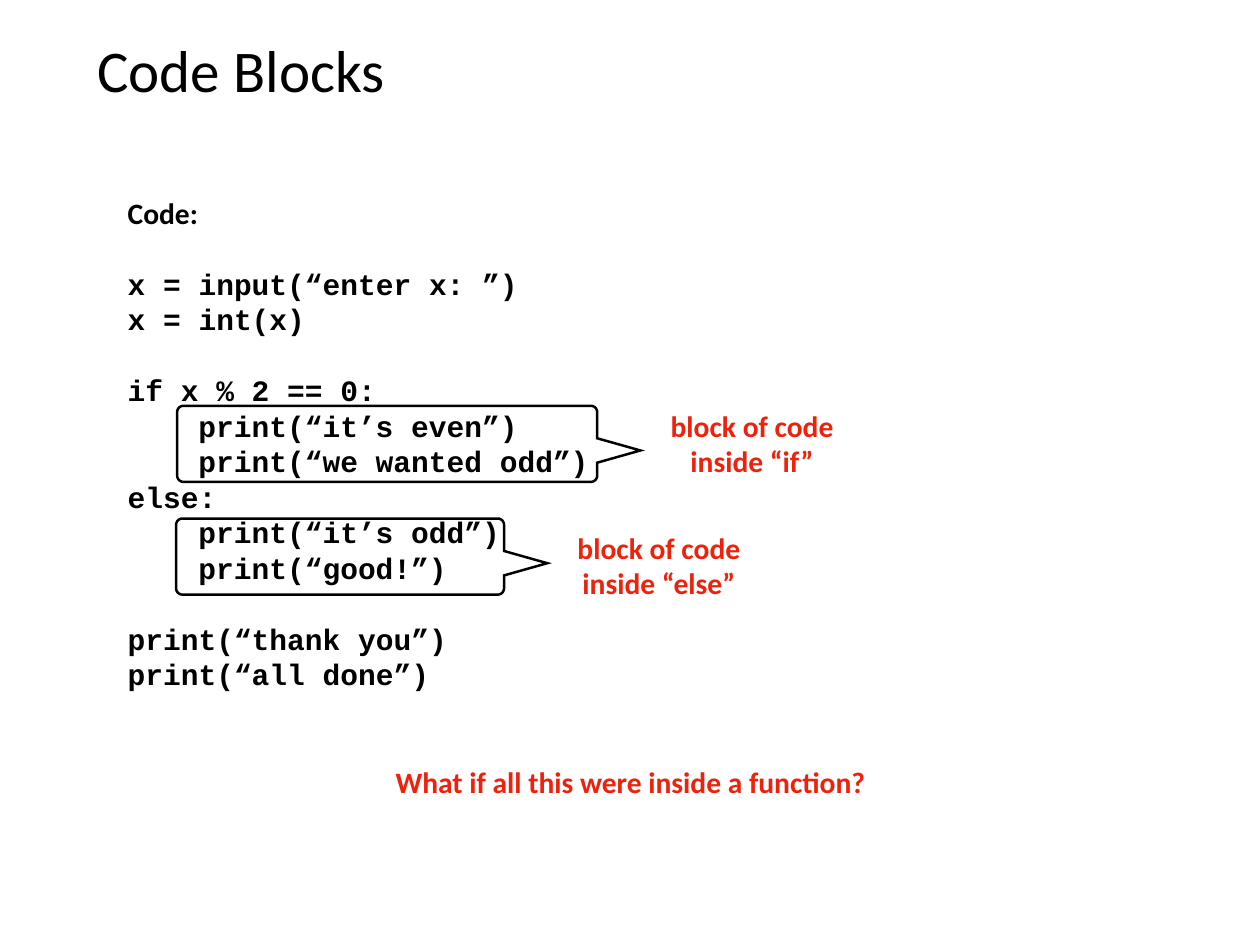
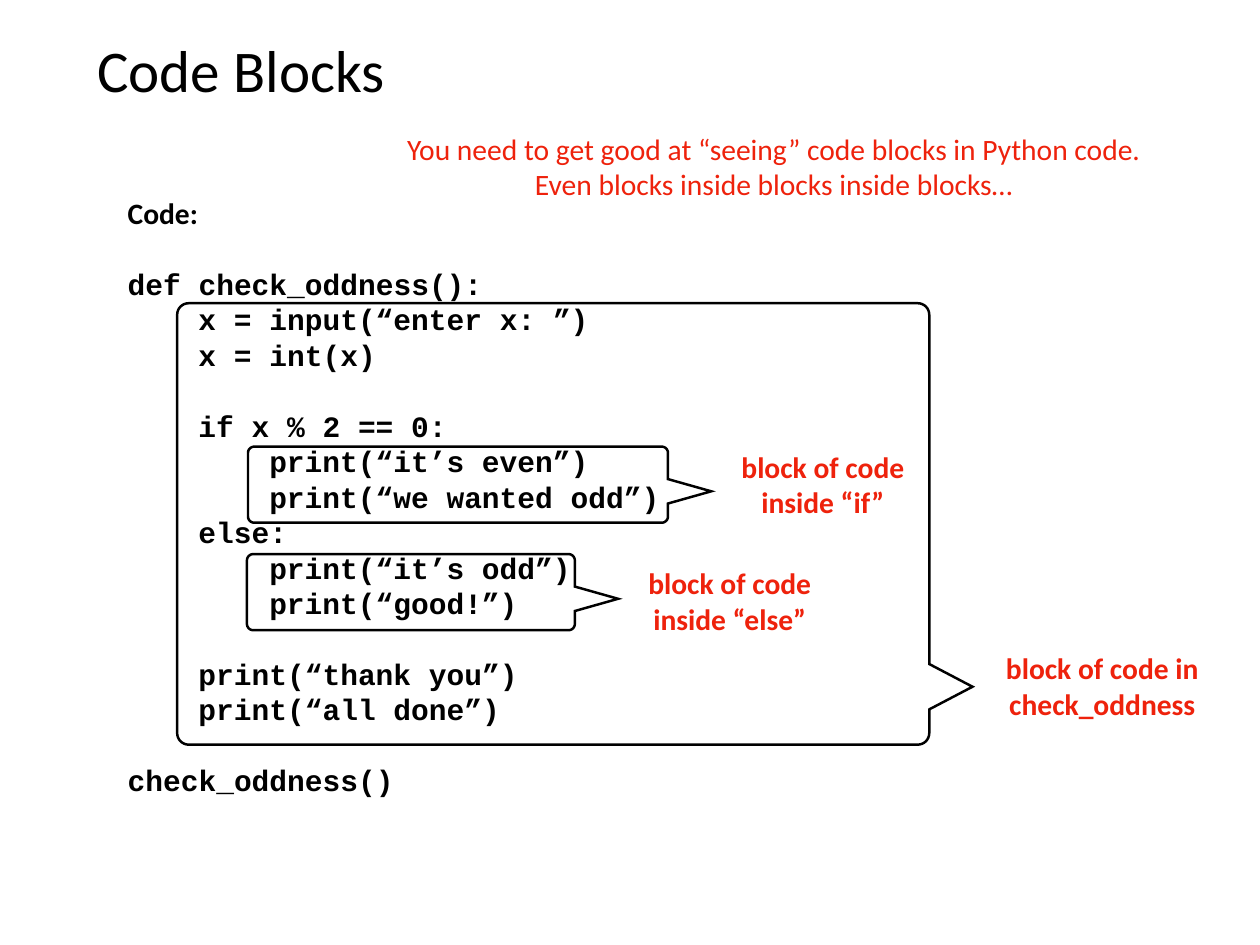
import math
from dataclasses import dataclass, replace

from lxml import etree
from pptx import Presentation
from pptx import slide as sl
from pptx import util as u
from pptx.dml import color
from pptx.enum import text
from pptx.oxml import ns


# Shared look
@dataclass(frozen=True)
class Theme:
    ink: color.RGBColor = color.RGBColor(0x00, 0x00, 0x00)
    accent: color.RGBColor = color.RGBColor(0xEE, 0x22, 0x0C)
    font: str = "Calibri"
    code_font: str = "Courier New"
    title_size: u.Pt = u.Pt(48)
    body_size: u.Pt = u.Pt(24)
    line_height: u.Pt = u.Pt(28.8)
    outline: u.Pt = u.Pt(2)
    inset: u.Cm = u.Cm(0.15)
    code_indent: float = 2.03  # cm, four characters of code


THEME = Theme()


# Repeated elements; lengths in centimetres
@dataclass(frozen=True)
class Box:
    left: float
    top: float
    width: float
    height: float


@dataclass(frozen=True)
class CodeLine:
    text: str
    level: int = 0
    gap_before: bool = False


@dataclass(frozen=True)
class Callout:
    body: Box
    label: str
    label_offset: float
    label_width: float = 5.84
    radius: float = 0.18
    tip: float = 1.28
    tail_half: float = 0.35


TITLE_BOX = Box(2.64, 0.71, 30.84, 2.51)
CODE_BOX = Box(3.51, 5.44, 18, 17.55)
TAIL_LENGTH = 1.24
LABEL_GAP = 0.28
LABEL_HEIGHT = 2.31
CORNER_STEPS = 8

# Code listings
BODY = [
    CodeLine("x = input(“enter x: ”)"),
    CodeLine("x = int(x)"),
    CodeLine("if x % 2 == 0:", gap_before=True),
    CodeLine("print(“it’s even”)", 1),
    CodeLine("print(“we wanted odd”)", 1),
    CodeLine("else:"),
    CodeLine("print(“it’s odd”)", 1),
    CodeLine("print(“good!”)", 1),
    CodeLine("print(“thank you”)", gap_before=True),
    CodeLine("print(“all done”)"),
]
FUNCTION = [
    CodeLine("def check_oddness():"),
    *(replace(line, level=line.level + 1) for line in BODY),
    CodeLine("check_oddness()", gap_before=True),
]

# Callouts around the code blocks
IF_BLOCK = Callout(Box(5.08, 11.63, 12.04, 2.18), "block of code\ninside “if”", -0.08)
ELSE_BLOCK = Callout(Box(5.05, 14.86, 9.4, 2.18), "block of code\ninside “else”", 0.18)
FUNCTION_BLOCK = Callout(
    Box(5.08, 8.69, 21.56, 12.65), "block of code in\ncheck_oddness", 9.8,
    label_width=6.88, radius=0.33, tip=10.99, tail_half=0.65,
)


def moved(callout: Callout, down: float) -> Callout:
    """Shift a callout down and one code level to the right."""
    body = callout.body
    return replace(callout, body=replace(
        body, left=body.left + THEME.code_indent, top=body.top + down))


def add_text(slide: sl.Slide, box: Box, words: str, size: u.Pt, ink: color.RGBColor,
             bold: bool = False, centred: bool = False, middle: bool = True):
    """Add a text box, one paragraph per line of words."""
    shape = slide.shapes.add_textbox(
        u.Cm(box.left), u.Cm(box.top), u.Cm(box.width), u.Cm(box.height))
    frame = shape.text_frame
    frame.text = words
    frame.word_wrap = True
    frame.vertical_anchor = text.MSO_ANCHOR.MIDDLE if middle else text.MSO_ANCHOR.TOP
    frame.margin_left = frame.margin_right = THEME.inset
    frame.margin_top = frame.margin_bottom = THEME.inset
    for paragraph in frame.paragraphs:
        paragraph.alignment = text.PP_ALIGN.CENTER if centred else text.PP_ALIGN.LEFT
        if size == THEME.body_size:
            paragraph.line_spacing = THEME.line_height
        for run in paragraph.runs:
            run.font.name = THEME.font
            run.font.size = size
            run.font.bold = bold
            run.font.color.rgb = ink
    return frame


def add_note(slide: sl.Slide, box: Box, words: str, bold: bool = True) -> None:
    add_text(slide, box, words, THEME.body_size, THEME.accent, bold, centred=True)


def add_code(slide: sl.Slide, lines: list[CodeLine]) -> None:
    words = "\n".join(["Code:", *(line.text for line in lines)])
    frame = add_text(slide, CODE_BOX, words, THEME.body_size, THEME.ink,
                     bold=True, middle=False)
    heading, *paragraphs = frame.paragraphs
    heading.space_after = THEME.line_height
    for paragraph, line in zip(paragraphs, lines):
        paragraph.runs[0].font.name = THEME.code_font
        if line.gap_before:
            paragraph.space_before = THEME.line_height
        indent = u.Cm(line.level * THEME.code_indent)
        paragraph._p.get_or_add_pPr().set("marL", str(int(indent)))


def corner(x: float, y: float, radius: float, start: int) -> list[tuple[float, float]]:
    """Points of a quarter circle, clockwise from a start angle in degrees."""
    angles = [math.radians(start + 90 * step / CORNER_STEPS)
              for step in range(CORNER_STEPS + 1)]
    return [(x + radius * math.cos(a), y + radius * math.sin(a)) for a in angles]


def add_callout(slide: sl.Slide, callout: Callout) -> None:
    body, radius = callout.body, callout.radius
    right, bottom = body.left + body.width, body.top + body.height
    tip_x, tip_y = right + TAIL_LENGTH, body.top + callout.tip
    near, far = body.left + radius, right - radius
    high, low = body.top + radius, bottom - radius

    # Rounded outline with a tail on the right
    points = [
        *corner(far, high, radius, -90),
        (right, tip_y - callout.tail_half),
        (tip_x, tip_y),
        (right, tip_y + callout.tail_half),
        *corner(far, low, radius, 0),
        *corner(near, low, radius, 90),
        *corner(near, high, radius, 180),
    ]
    outline = [(u.Cm(x), u.Cm(y)) for x, y in points]
    builder = slide.shapes.build_freeform(*outline[0])
    builder.add_line_segments(outline[1:], close=True)
    shape = builder.convert_to_shape()
    shape.shadow.inherit = False
    shape.fill.background()
    shape.line.color.rgb = THEME.ink
    shape.line.width = THEME.outline
    line = shape.element.spPr.find(ns.qn("a:ln"))
    etree.SubElement(line, ns.qn("a:miter")).set("lim", "800000")

    add_note(slide, Box(tip_x + LABEL_GAP, body.top + callout.label_offset,
                        callout.label_width, LABEL_HEIGHT), callout.label)


def add_code_slide(presentation, lines: list[CodeLine], callouts: list[Callout]) -> sl.Slide:
    slide = presentation.slides.add_slide(presentation.slide_layouts[6])
    add_text(slide, TITLE_BOX, "Code Blocks", THEME.title_size, THEME.ink)
    add_code(slide, lines)
    for callout in callouts:
        add_callout(slide, callout)
    return slide


def main() -> None:
    presentation = Presentation()
    presentation.slide_width = u.Cm(36.12)
    presentation.slide_height = u.Cm(27.08)

    # Slide 1: blocks in a plain script
    slide = add_code_slide(presentation, BODY, [IF_BLOCK, ELSE_BLOCK])
    add_note(slide, Box(9.86, 21.74, 16.43, 1.3),
             "What if all this were inside a function?")

    # Slide 2: the same blocks inside a function
    slide = add_code_slide(
        presentation, FUNCTION,
        [moved(IF_BLOCK, 1.17), moved(ELSE_BLOCK, 1.02), FUNCTION_BLOCK])
    add_note(slide, Box(9.91, 3.61, 24.54, 2.31),
             "You need to get good at “seeing” code blocks in Python code.\n"
             "Even blocks inside blocks inside blocks…", bold=False)

    presentation.save("out.pptx")


if __name__ == "__main__":
    main()
